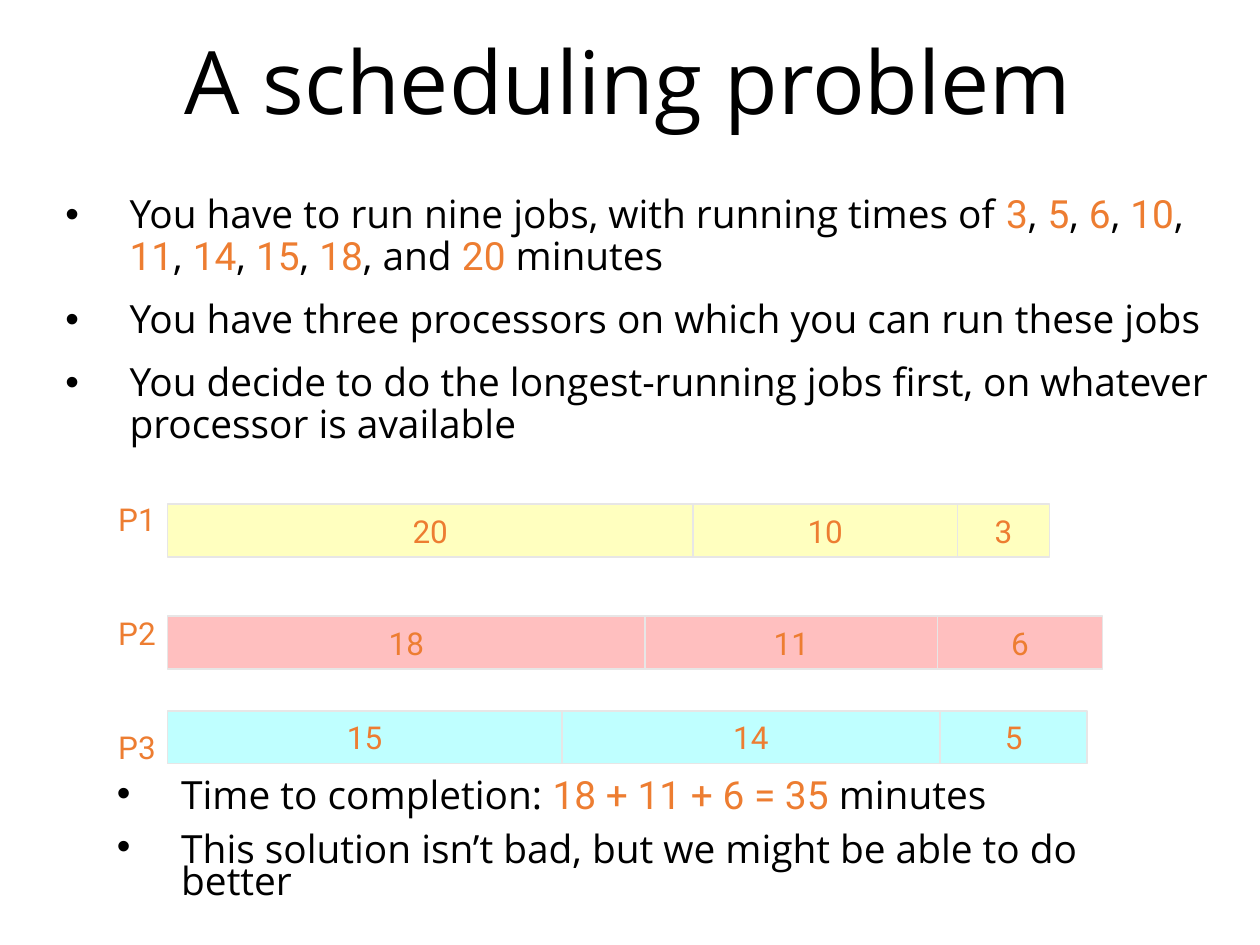
from dataclasses import dataclass
from itertools import pairwise

from lxml.etree import SubElement
from pptx import Presentation
from pptx.dml.color import RGBColor
from pptx.enum.shapes import MSO_SHAPE
from pptx.enum.text import MSO_ANCHOR as Anchor, PP_ALIGN as Align
from pptx.oxml.ns import qn
from pptx.util import Inches, Pt


@dataclass(frozen=True)
class Theme:
    """Colours, fonts and type sizes of the slide."""
    text: str = "000000"
    accent: str = "ED7D31"
    outline: str = "E7E6E6"
    text_font: str = "Open Sans"
    number_font: str = "Roboto"
    title_size: float = 50
    body_size: float = 22.2
    label_size: float = 18


@dataclass(frozen=True)
class Box:
    """A place on the slide, in inches."""
    left: float
    top: float
    width: float
    height: float

    def lengths(self) -> list:
        """Give the four values as lengths."""
        return [Inches(v) for v in (self.left, self.top, self.width, self.height)]


@dataclass(frozen=True)
class Processor:
    """One row of jobs; edges are the left and right borders of its bars."""
    name: str
    top: float
    fill: str
    jobs: tuple
    edges: tuple


THEME = Theme()
BAR_HEIGHT = 0.42
BULLET_INDENT = 0.51
MARK = "|"  # encloses highlighted text

PROCESSORS = (
    Processor("P1", 4.0, "FFFFBF", (20, 10, 3), (1.33, 5.5, 7.6, 8.33)),
    Processor("P2", 4.89, "FFBFBF", (18, 11, 6), (1.33, 5.12, 7.44, 8.75)),
    Processor("P3", 5.64, "BFFFFF", (15, 14, 5), (1.33, 4.46, 7.46, 8.63)),
)
PROBLEM = (
    "You have to run nine jobs, with running times of |3|, |5|, |6|, |10|, "
    "|11|, |14|, |15|, |18|, and |20| minutes",
    "You have three processors on which you can run these jobs",
    "You decide to do the longest-running jobs first, on whatever processor is available",
)
RESULT = (
    "Time to completion: |18 + 11 + 6 = 35| minutes",
    "This solution isn’t bad, but we might be able to do better",
)


def apply_format(target, values: dict) -> None:
    """Set each attribute named in values."""
    for name, value in values.items():
        setattr(target, name, value)


def write_marked(paragraph, text: str, size: float) -> None:
    """Write text, with the parts between marks in the accent style."""
    for index, part in enumerate(text.split(MARK)):
        if not part:
            continue
        highlighted = index % 2 == 1
        run = paragraph.add_run()
        run.text = part
        apply_format(run.font, {
            "size": Pt(size),
            "name": THEME.number_font if highlighted else THEME.text_font,
        })
        colour = THEME.accent if highlighted else THEME.text
        run.font.color.rgb = RGBColor.from_string(colour)


def add_bullet(paragraph) -> None:
    """Give the paragraph a hanging bullet."""
    properties = paragraph._p.get_or_add_pPr()
    properties.set("marL", str(Inches(BULLET_INDENT)))
    properties.set("indent", str(-Inches(BULLET_INDENT)))
    SubElement(properties, qn("a:buFont")).set("typeface", "Arial")
    SubElement(properties, qn("a:buChar")).set("char", "•")


def add_text(slide, box: Box, texts: tuple, size: float, paragraph_format: dict,
             anchor=Anchor.TOP, bulleted: bool = False) -> None:
    """Add a text box with one paragraph for each text."""
    frame = slide.shapes.add_textbox(*box.lengths()).text_frame
    apply_format(frame, {"word_wrap": True, "vertical_anchor": anchor})
    for index, text in enumerate(texts):
        paragraph = frame.add_paragraph() if index else frame.paragraphs[0]
        apply_format(paragraph, paragraph_format)
        if bulleted:
            add_bullet(paragraph)
        write_marked(paragraph, text, size)


def add_bullets(slide, box: Box, texts: tuple, line_spacing: float) -> None:
    """Add a bulleted list."""
    spacing = {"line_spacing": line_spacing, "space_before": Pt(6), "space_after": Pt(6)}
    add_text(slide, box, texts, THEME.body_size, spacing, bulleted=True)


def add_job(slide, box: Box, minutes: int, fill: str) -> None:
    """Add the bar of one job with its running time."""
    shape = slide.shapes.add_shape(MSO_SHAPE.RECTANGLE, *box.lengths())
    shape.shadow.inherit = False
    shape.fill.solid()
    shape.fill.fore_color.rgb = RGBColor.from_string(fill)
    shape.line.color.rgb = RGBColor.from_string(THEME.outline)
    shape.line.width = Pt(1)
    apply_format(shape.text_frame, {"word_wrap": False, "vertical_anchor": Anchor.MIDDLE})
    paragraph = shape.text_frame.paragraphs[0]
    paragraph.alignment = Align.CENTER
    write_marked(paragraph, f"{MARK}{minutes}{MARK}", THEME.label_size)


def add_schedule(slide) -> None:
    """Add the rows of jobs and the processor names."""
    for processor in PROCESSORS:
        for minutes, (left, right) in zip(processor.jobs, pairwise(processor.edges)):
            box = Box(left, processor.top, right - left, BAR_HEIGHT)
            add_job(slide, box, minutes, processor.fill)
    names = tuple(f"{MARK}{processor.name}{MARK}" for processor in PROCESSORS)
    add_text(slide, Box(0.84, 3.92, 0.66, 2.22), names, THEME.label_size,
             {"space_after": Pt(43.5)})


def main() -> None:
    """Build and save the slide."""
    presentation = Presentation()
    apply_format(presentation, {"slide_width": Inches(10), "slide_height": Inches(7.5)})
    slide = presentation.slides.add_slide(presentation.slide_layouts[6])
    add_text(slide, Box(0.73, 0.27, 8.52, 0.83), ("A scheduling problem",),
             THEME.title_size, {"alignment": Align.CENTER, "line_spacing": 0.9},
             Anchor.MIDDLE)
    add_bullets(slide, Box(0.42, 1.5, 9.38, 2.31), PROBLEM, 0.9)
    add_schedule(slide)
    add_bullets(slide, Box(0.83, 6.17, 8.42, 1.17), RESULT, 0.7)
    presentation.save("out.pptx")


main()
